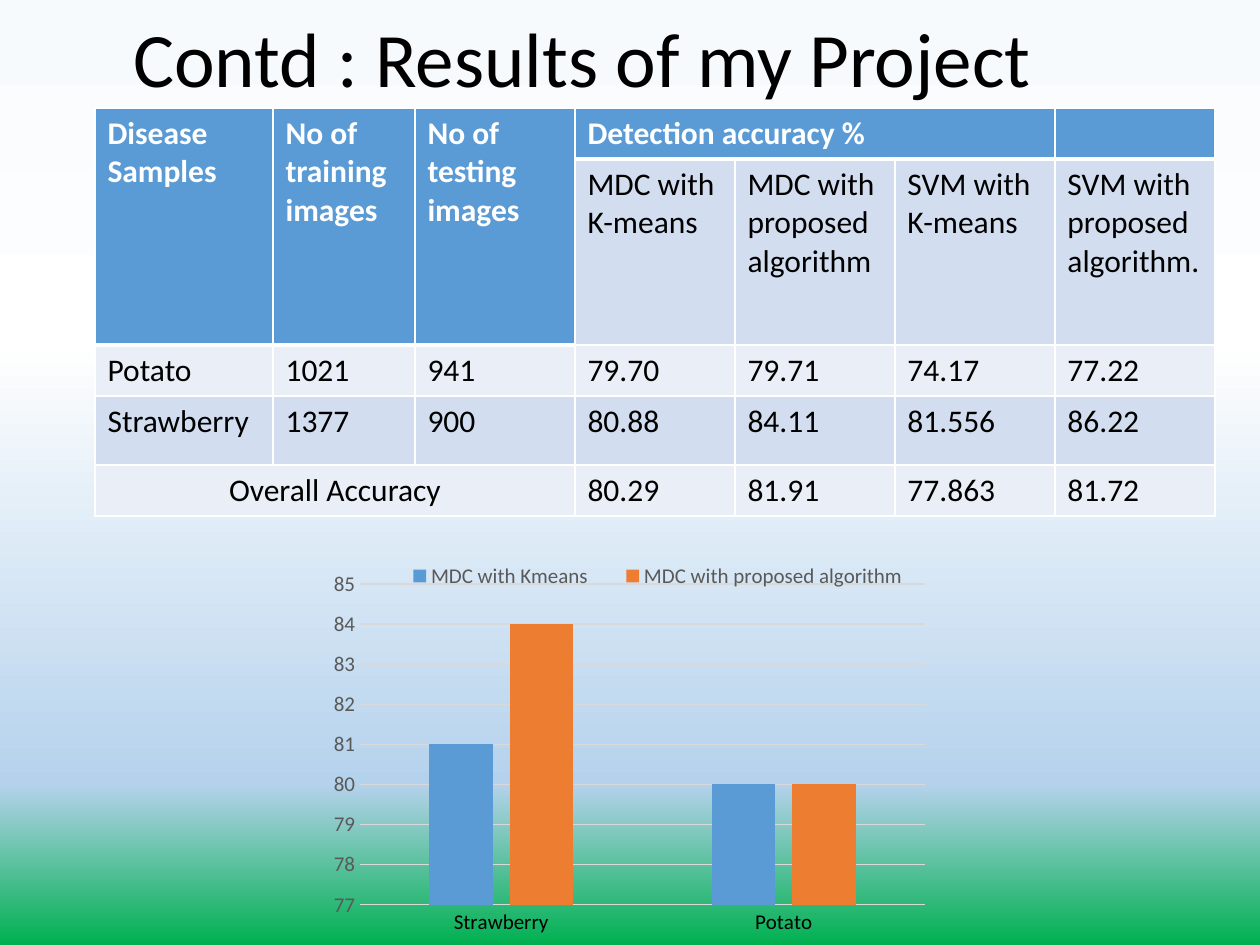
from lxml.etree import SubElement
from pptx import Presentation
from pptx.chart.data import CategoryChartData
from pptx.dml.color import RGBColor
from pptx.enum.chart import XL_CHART_TYPE as ChartType
from pptx.enum.chart import XL_LEGEND_POSITION as LegendPosition
from pptx.enum.chart import XL_TICK_MARK as TickMark
from pptx.enum.text import MSO_ANCHOR as Anchor
from pptx.enum.text import PP_ALIGN as Align
from pptx.oxml.ns import qn
from pptx.util import Pt

SCALE = 914400 / 126
BLUE, ORANGE, PALE, PALER = "5B9BD5", "ED7D31", "D2DEEF", "EAEFF7"
WHITE, BLACK, GREY, LINE = "FFFFFF", "000000", "595959", "D9D9D9"
BACKDROP = [(0, "F7FAFD"), (36, WHITE), (83, "B5D2EC"), (100, "00B050")]

COLUMNS = [178, 142, 160, 160, 160, 160, 160]
ROWS = [51, 186, 51, 69, 51]
CELLS = [
    ["Disease Samples", "No of training images", "No of testing images",
     "Detection accuracy %", "", "", ""],
    ["", "", "", "MDC with K-means", "MDC with proposed algorithm",
     "SVM with K-means", "SVM with proposed algorithm."],
    ["Potato", "1021", "941", "79.70", "79.71", "74.17", "77.22"],
    ["Strawberry", "1377", "900", "80.88", "84.11", "81.556", "86.22"],
    ["Overall Accuracy", "", "", "80.29", "81.91", "77.863", "81.72"],
]
MERGES = [((0, 0), (1, 0)), ((0, 1), (1, 1)), ((0, 2), (1, 2)),
          ((0, 3), (0, 5)), ((4, 0), (4, 2))]
SERIES = [("MDC with Kmeans", (81, 80), BLUE),
          ("MDC with proposed algorithm", (84, 80), ORANGE)]


def px(*lengths):
    return [round(length * SCALE) for length in lengths]


def color(hex_code):
    return RGBColor.from_string(hex_code)


def set_font(font, size, hex_code, bold=False):
    font.name = "Calibri"
    font.size = Pt(size)
    font.bold = bold
    font.color.rgb = color(hex_code)


def paint_background(page):
    fill = page.background.fill
    fill.gradient()
    fill.gradient_angle = 270
    stops = page.element.find(".//" + qn("a:gsLst"))
    stops.clear()
    for percent, hex_code in BACKDROP:
        stop = SubElement(stops, qn("a:gs"), pos=str(percent * 1000))
        SubElement(stop, qn("a:srgbClr"), val=hex_code)


def add_title(page, box):
    frame = page.shapes.add_textbox(*px(*box)).text_frame
    frame.word_wrap = True
    frame.vertical_anchor = Anchor.MIDDLE
    para = frame.paragraphs[0]
    para.text = "Contd : Results of my Project"
    para.line_spacing = 0.9
    set_font(para.font, 44, BLACK)


def set_borders(cell, bottom):
    properties = cell._tc.get_or_add_tcPr()
    for side, width in (("L", 1), ("R", 1), ("T", 1), ("B", bottom)):
        line = SubElement(properties, qn("a:ln" + side), w=str(Pt(width)))
        solid = SubElement(line, qn("a:solidFill"))
        SubElement(solid, qn("a:srgbClr"), val=WHITE)


def style_cell(cell, text, row, column):
    header = row == 0 or (row == 1 and column < 3)
    set_borders(cell, 3 if header else 1)
    cell.fill.solid()
    cell.fill.fore_color.rgb = color(BLUE if header else PALE if row % 2 else PALER)
    para = cell.text_frame.paragraphs[0]
    para.text = text
    set_font(para.font, 18, WHITE if header else BLACK, header)
    if text == "Overall Accuracy":
        para.alignment = Align.CENTER


def add_results_table(page, left, top):
    box = px(left, top, sum(COLUMNS), sum(ROWS))
    table = page.shapes.add_table(len(ROWS), len(COLUMNS), *box).table
    table.first_row = table.horz_banding = False
    for column, width in zip(table.columns, px(*COLUMNS)):
        column.width = width
    for row, height in zip(table.rows, px(*ROWS)):
        row.height = height
    for r, texts in enumerate(CELLS):
        for c, text in enumerate(texts):
            style_cell(table.cell(r, c), text, r, c)
    for first, last in MERGES:
        table.cell(*first).merge(table.cell(*last))


def place_in_chart(parent, before, chart_box, part_box, inner=False):
    for old in parent.findall(qn("c:layout")):
        parent.remove(old)
    layout = parent.makeelement(qn("c:layout"))
    parent.find(qn(before)).addprevious(layout)
    manual = SubElement(layout, qn("c:manualLayout"))
    if inner:
        SubElement(manual, qn("c:layoutTarget"), val="inner")
    for key in ("xMode", "yMode"):
        SubElement(manual, qn("c:" + key), val="edge")
    for key, length, whole in zip("xywh", part_box, chart_box[2:] * 2):
        SubElement(manual, qn("c:" + key), val=str(length / whole))


def style_axes(chart):
    for axis, hex_code in ((chart.category_axis, BLACK), (chart.value_axis, GREY)):
        axis.major_tick_mark = axis.minor_tick_mark = TickMark.NONE
        set_font(axis.tick_labels.font, 12, hex_code)
    values = chart.value_axis
    values.minimum_scale, values.maximum_scale, values.major_unit = 77, 85, 1
    values.tick_labels.number_format = "General"
    values.tick_labels.number_format_is_linked = False
    values.format.line.fill.background()
    values.has_major_gridlines = True
    for line in (values.major_gridlines.format.line,
                 chart.category_axis.format.line):
        line.color.rgb = color(LINE)
        line.width = Pt(0.75)


def add_accuracy_chart(page, box):
    data = CategoryChartData()
    data.categories = ["Strawberry", "Potato"]
    for name, values, _ in SERIES:
        data.add_series(name, values)
    chart = page.shapes.add_chart(ChartType.COLUMN_CLUSTERED, *px(*box), data).chart
    chart.has_title = False
    set_font(chart.font, 10, BLACK)
    style_axes(chart)
    plot = chart.plots[0]
    plot.vary_by_categories = False
    plot.gap_width, plot.overlap = 219, -27
    for series, (_, _, hex_code) in zip(plot.series, SERIES):
        series.format.fill.solid()
        series.format.fill.fore_color.rgb = color(hex_code)
    chart.has_legend = True
    legend = chart.legend
    legend.position = LegendPosition.BOTTOM
    legend.include_in_layout = False
    set_font(legend.font, 12, GREY)
    root = chart.element
    place_in_chart(root.find(".//" + qn("c:plotArea")), "c:barChart", box,
                   (40, 110, 565, 321), inner=True)
    place_in_chart(root.find(".//" + qn("c:legend")), "c:overlay", box,
                   (62, 88, 552, 28))


def main():
    deck = Presentation()
    deck.slide_width, deck.slide_height = px(1260, 945)
    page = deck.slides.add_slide(deck.slide_layouts[6])
    paint_background(page)
    add_title(page, (121, 0, 1068, 126))
    add_accuracy_chart(page, (320, 474, 622, 465))
    add_results_table(page, 95, 108)
    deck.save("out.pptx")


if __name__ == "__main__":
    main()
